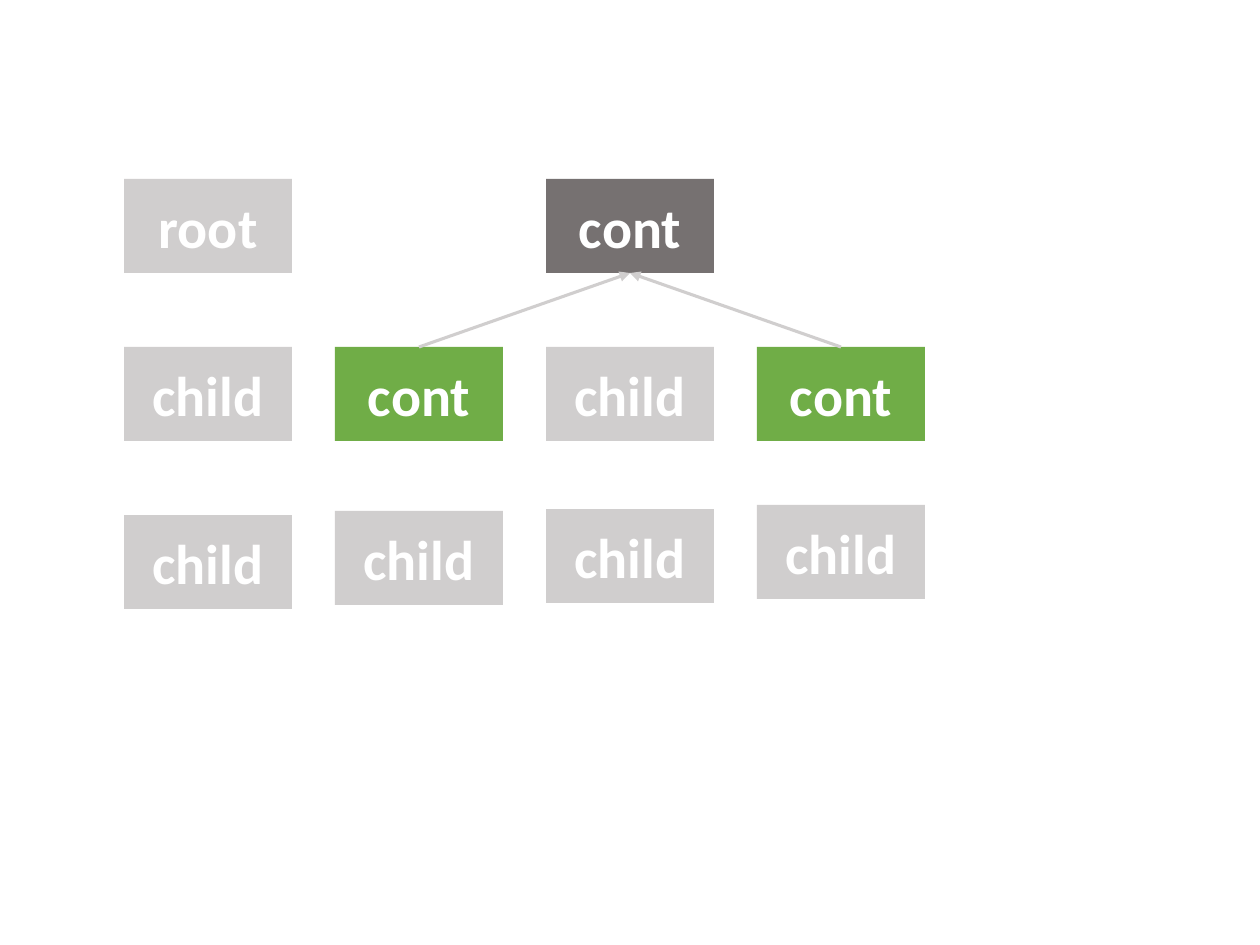
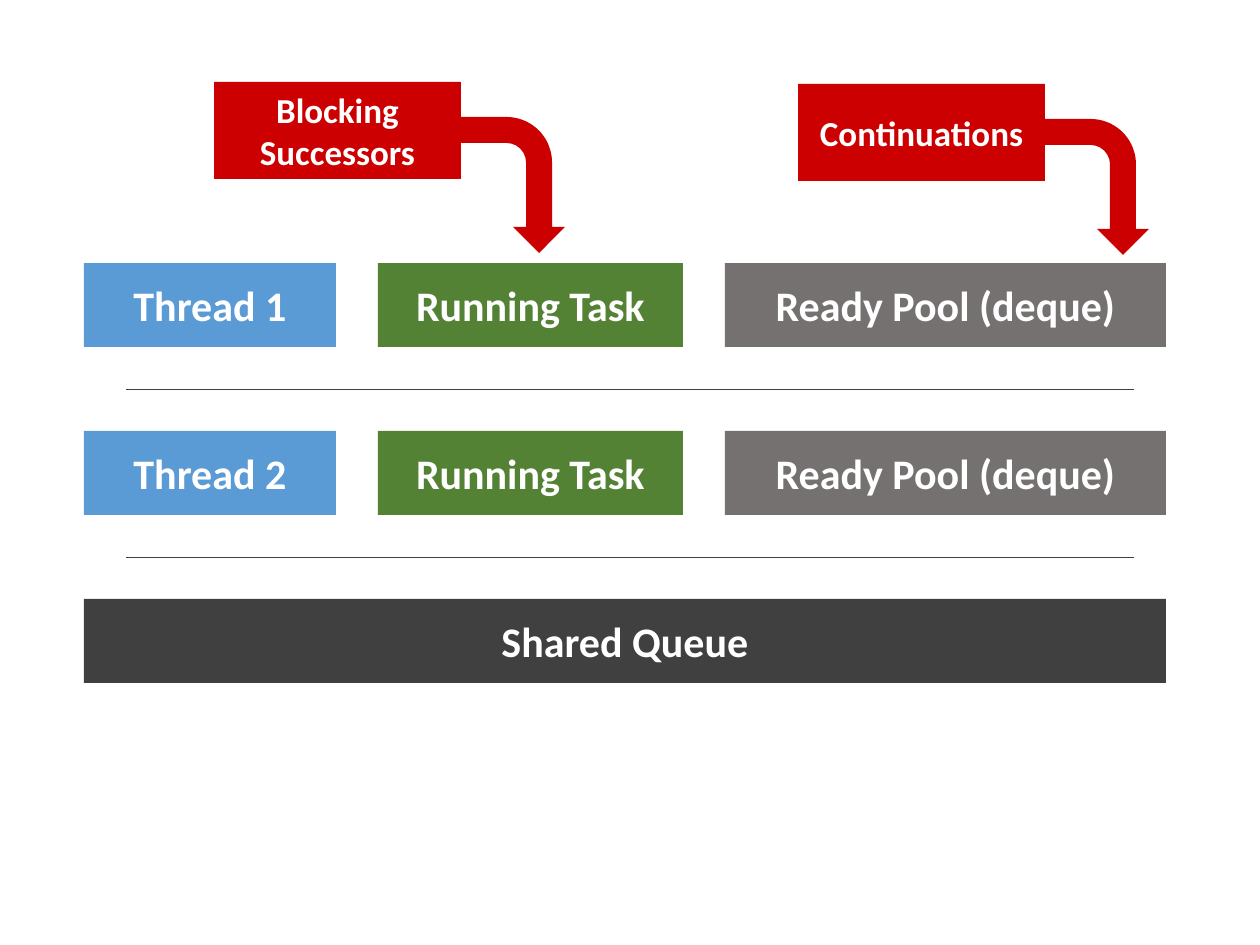
import pptx
import pptx.util
import pptx.dml.color
import pptx.enum.shapes
import pptx.enum.text
import pptx.oxml.ns
import lxml.etree

SHAPE = pptx.enum.shapes.MSO_SHAPE
FONT = "Calibri"
WHITE, LIGHT, GREY, DARK = "FFFFFF", "D0CECE", "767171", "404040"
LEAF, GREEN, BLUE, RED = "70AD47", "548235", "5B9BD5", "CC0000"


def px(n):
    """Turn pixels (126 to the inch) into EMU."""
    return pptx.util.Emu(round(n * 914400 / 126))


def rgb(color):
    """Turn a hex string into a colour."""
    return pptx.dml.color.RGBColor.from_string(color)


def add_text(sp, text, size=24, color=WHITE, bold=True):
    """Write centred text into a shape."""
    tf = sp.text_frame
    tf.word_wrap = True
    tf.vertical_anchor = pptx.enum.text.MSO_ANCHOR.MIDDLE
    p = tf.paragraphs[0]
    p.alignment = pptx.enum.text.PP_ALIGN.CENTER
    r = p.add_run()
    r.text = text
    r.font.name, r.font.size, r.font.bold = FONT, pptx.util.Pt(size), bold
    r.font.color.rgb = rgb(color)


def add_block(s, kind, x, y, w, h, fill):
    """Draw a flat filled shape without outline."""
    sp = s.shapes.add_shape(kind, px(x), px(y), px(w), px(h))
    sp.shadow.inherit = False
    sp.fill.solid()
    sp.fill.fore_color.rgb = rgb(fill)
    sp.line.fill.background()
    return sp


def add_box(s, x, y, w, h, fill, text, **fmt):
    """Draw a labelled rectangle."""
    sp = add_block(s, SHAPE.RECTANGLE, x, y, w, h, fill)
    add_text(sp, text, **fmt)
    return sp


def add_line(s, x1, y1, x2, y2, color, width):
    """Draw a straight line without shadow."""
    c = s.shapes.add_connector(pptx.enum.shapes.MSO_CONNECTOR.STRAIGHT,
                               px(x1), px(y1), px(x2), px(y2))
    c.line.color.rgb = rgb(color)
    c.line.width = pptx.util.Pt(width)
    lxml.etree.SubElement(c._element.spPr, pptx.oxml.ns.qn("a:effectLst"))
    return c


def add_arrow(s, start, end):
    """Join the top of one box to the bottom of another with an arrow."""
    c = add_line(s, 0, 0, 0, 0, LIGHT, 1.75)
    c.begin_connect(start, 0)
    c.end_connect(end, 2)
    ln = c.line._get_or_add_ln()
    lxml.etree.SubElement(ln, pptx.oxml.ns.qn("a:tailEnd"), type="triangle")


def task_tree(s, x, y):
    """Draw the grid of tasks, with continuations pointing at their parent."""
    w, h, col_step, row_step = 168, 94, 211, 168

    def task(col, top, text, fill=LIGHT):
        return add_box(s, x + col * col_step, y + top, w, h, fill, text, size=32)

    task(0, 0, "root")
    parent = task(2, 0, "cont", GREY)
    for col in (0, 2):
        task(col, row_step, "child")
    conts = [task(col, row_step, "cont", LEAF) for col in (1, 3)]
    for col, lift in enumerate((0, 4, 6, 10)):
        task(col, 2 * row_step - lift, "child")
    for cont in conts:
        add_arrow(s, cont, parent)


def thread_lanes(s, x, y, w):
    """Draw a lane for each thread above the shared queue."""
    h, gap, step = 84, 42, 168
    for lane in range(2):
        top = y + lane * step
        left = x
        for text, width, fill in ((f"Thread {lane + 1}", 252, BLUE),
                                  ("Running Task", 305, GREEN),
                                  ("Ready Pool (deque)", 441, GREY)):
            add_box(s, left, top, width, h, fill, text)
            left += width + gap
        rule = top + h + gap
        add_line(s, x + gap, rule, x + gap + 1008, rule, DARK, 0.5)
    add_box(s, x, y + 2 * step, w, h, DARK, "Shared Queue")


def callout(s, x, y, text):
    """Draw a red label with a bent arrow leading down from its right side."""
    w, h, length, breadth = 247, 97, 136, 104
    add_box(s, x, y, w, h, RED, text, size=20)
    shift = (length - breadth) // 2
    sp = add_block(s, SHAPE.BENT_ARROW, x + w - shift, y + 35 + shift,
                   length, breadth, RED)
    sp.rotation = 90


def main():
    """Build both slides and save them."""
    prs = pptx.Presentation()
    prs.slide_width, prs.slide_height = px(1260), px(945)
    blank = prs.slide_layouts[6]

    task_tree(prs.slides.add_slide(blank), 124, 179)

    s = prs.slides.add_slide(blank)
    thread_lanes(s, 84, 263, 1082)
    callout(s, 798, 84, "Continuations")
    callout(s, 214, 82, "Blocking Successors")

    prs.save("out.pptx")


if __name__ == "__main__":
    main()
